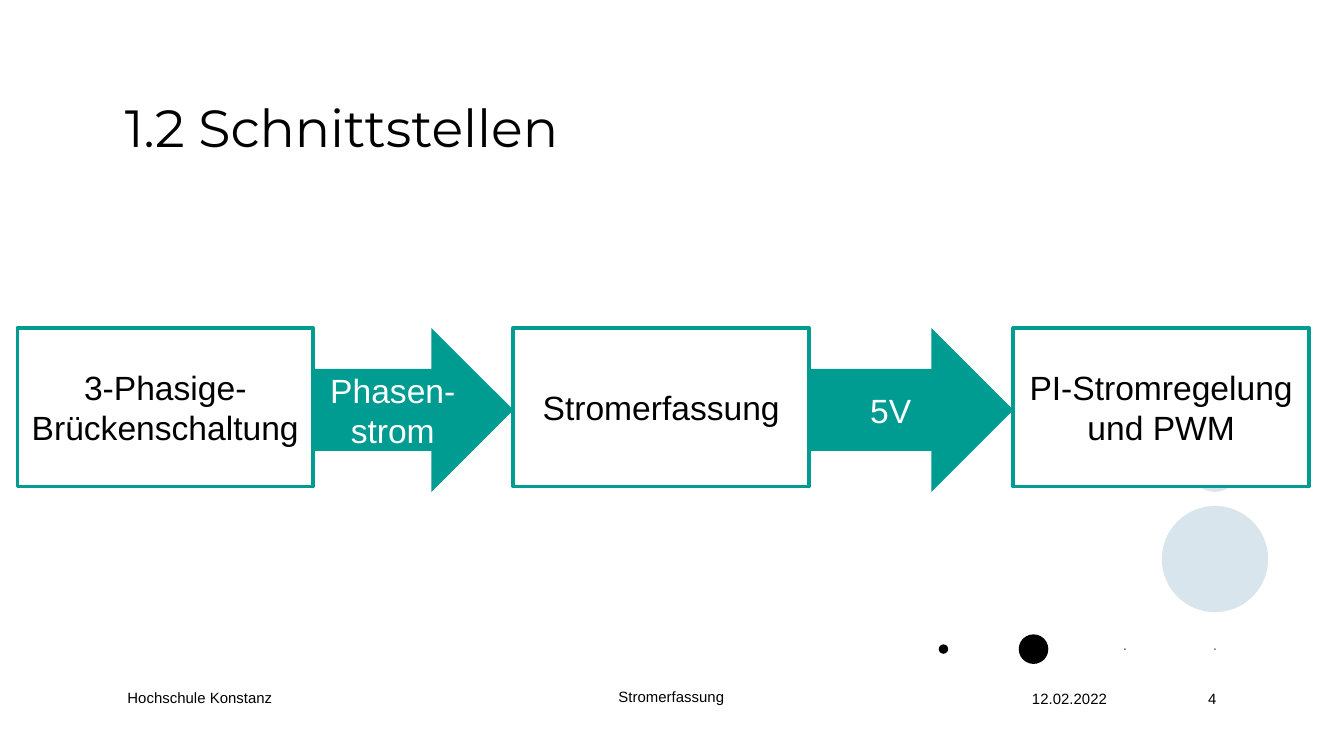
from pptx import Presentation
from pptx import util as u
from pptx.dml.color import RGBColor
from pptx.enum import shapes, text

WIDTH = 10
HEIGHT = WIDTH * 9 / 16
COLORS = {"teal": "009B91", "white": "FFFFFF", "black": "000000", "mist": "D9E5EC"}

TITLE = "1.2 Schnittstellen"
STAGES = ["3-Phasige-Brückenschaltung", "Stromerfassung", "PI-Stromregelung und PWM"]
SIGNALS = ["Phasen-strom", "5V"]
FOOTERS = [  # wording, left, top, width, height, centred
    ("12.02.2022", 7.58, 5.09, 0.91, 0.22, False),
    ("Hochschule Konstanz", 0.85, 5.06, 1.53, 0.26, False),
    ("4", 8.89, 5.08, 0.87, 0.24, False),
    ("Stromerfassung", 3.8, 5.06, 2.39, 0.24, True),
]
DOTS = [  # centre x, centre y, diameter, colour
    (9.04, 4.16, 0.79, "mist"),
    (9.04, 3.48, 0.36, "mist"),
    (7.69, 4.83, 0.22, "black"),
    (7.02, 4.83, 0.07, "black"),
    (8.37, 4.83, 0.01, "black"),
    (9.04, 4.83, 0.01, "black"),
]

FLOW_TOP = 2.44
STAGE_WIDTH, STAGE_HEIGHT = 2.2, 1.18
ARROW_HEIGHT = 1.22
STAGE_LEFTS = [0.13, 3.82, 7.54]


def color(name):
    return RGBColor.from_string(COLORS[name])


def write(shape, wording, size=18, font="Arial", ink="black", centred=True, middle=True):
    frame = shape.text_frame
    frame.word_wrap = True
    frame.vertical_anchor = text.MSO_ANCHOR.MIDDLE if middle else text.MSO_ANCHOR.TOP
    paragraph = frame.paragraphs[0]
    paragraph.alignment = text.PP_ALIGN.CENTER if centred else text.PP_ALIGN.LEFT
    run = paragraph.add_run()
    run.text = wording
    run.font.size = u.Pt(size)
    run.font.name = font
    run.font.color.rgb = color(ink)


def add_filled(slide, preset, box, fill, line=None):
    shape = slide.shapes.add_shape(preset, *map(u.Inches, box))
    shape.shadow.inherit = False
    shape.fill.solid()
    shape.fill.fore_color.rgb = color(fill)
    if line:
        shape.line.color.rgb = color(line)
        shape.line.width = u.Pt(2)
    else:
        shape.line.fill.background()
    return shape


def add_label(slide, wording, box, **style):
    write(slide.shapes.add_textbox(*map(u.Inches, box)), wording, **style)


def main():
    deck = Presentation()
    deck.slide_width, deck.slide_height = u.Inches(WIDTH), u.Inches(HEIGHT)
    slide = deck.slides.add_slide(deck.slide_layouts[6])

    for wording, left, top, width, height, centred in FOOTERS:
        add_label(slide, wording, (left, top, width, height), size=8, centred=centred)

    for x, y, diameter, fill in DOTS:
        box = (x - diameter / 2, y - diameter / 2, diameter, diameter)
        add_filled(slide, shapes.MSO_SHAPE.OVAL, box, fill)

    add_label(slide, TITLE, (0.83, 0.66, 8.21, 0.47),
              size=28, font="Montserrat", centred=False, middle=False)

    for signal, before, after in zip(SIGNALS, STAGE_LEFTS, STAGE_LEFTS[1:]):
        left = before + STAGE_WIDTH
        box = (left, FLOW_TOP, after - left, ARROW_HEIGHT)
        arrow = add_filled(slide, shapes.MSO_SHAPE.RIGHT_ARROW, box, "teal")
        write(arrow, signal, ink="white")

    for stage, left in zip(STAGES, STAGE_LEFTS):
        box = (left, FLOW_TOP, STAGE_WIDTH, STAGE_HEIGHT)
        block = add_filled(slide, shapes.MSO_SHAPE.RECTANGLE, box, "white", line="teal")
        write(block, stage)

    deck.save("out.pptx")


if __name__ == "__main__":
    main()
